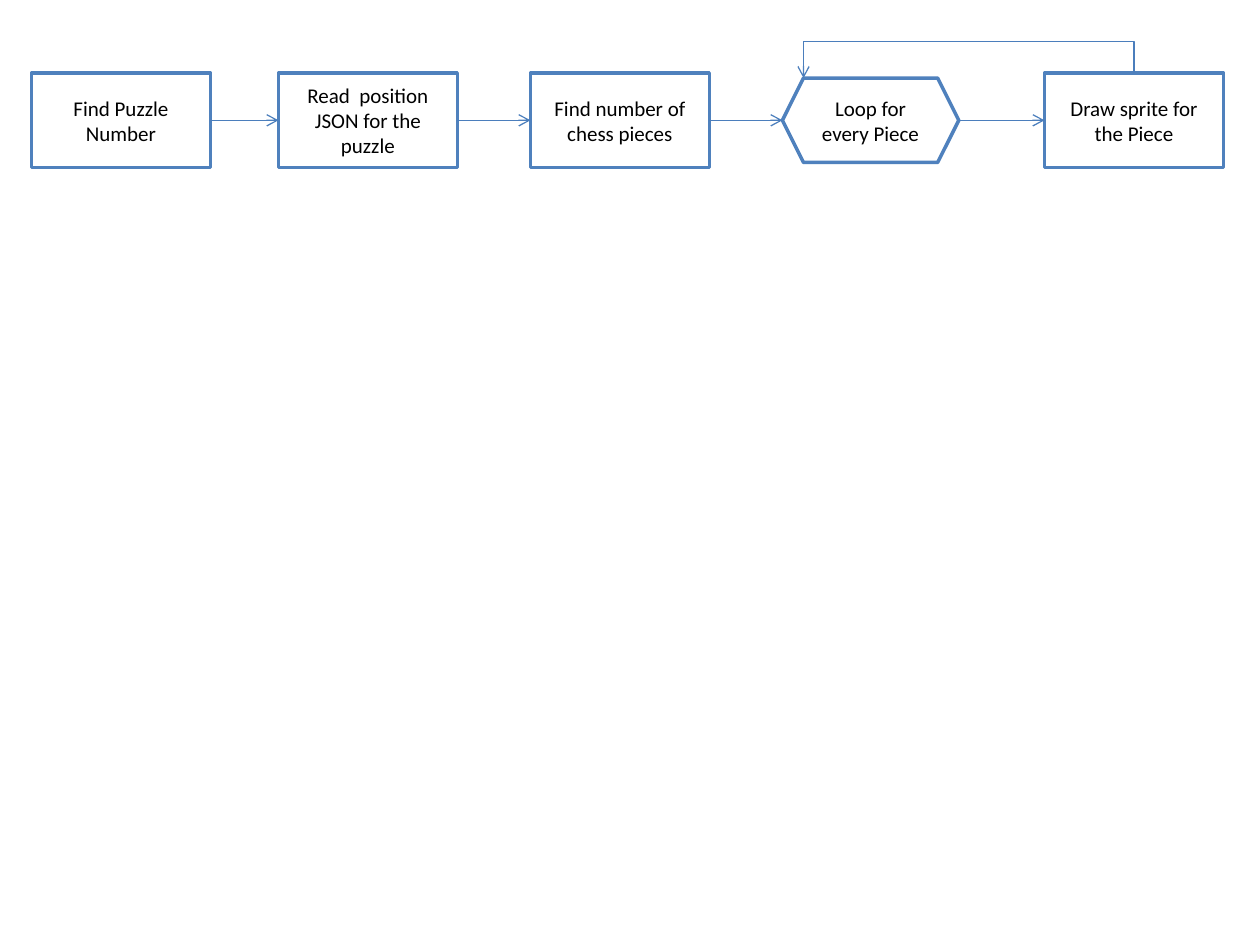
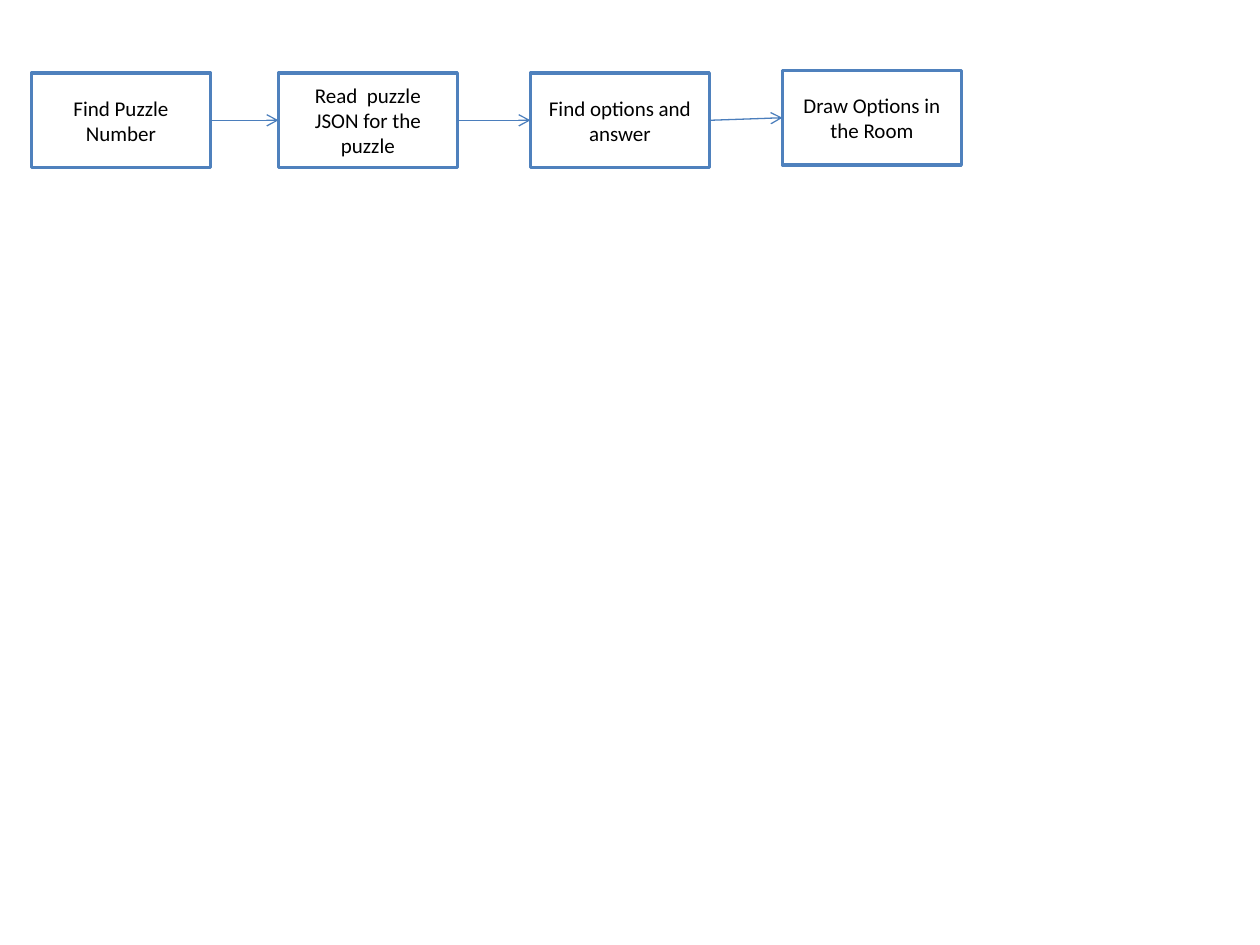
from pptx import Presentation
from pptx.dml.color import RGBColor
from pptx.enum.shapes import MSO_CONNECTOR, MSO_SHAPE
from pptx.enum.text import MSO_ANCHOR, PP_ALIGN
from pptx.oxml.ns import qn
from pptx.util import Inches, Pt
from lxml.etree import SubElement

FONT = "Calibri"
WHITE, BLACK = "FFFFFF", "000000"
BORDER, ARROW = "4F81BD", "4B7EBC"
BOX_W, BOX_H, ROW_TOP = 1.42, 0.75, 0.58
COLUMNS = [0.25, 2.21, 4.21, 6.21, 8.29]


def rgb(value):
    """Turn a hex string into a colour."""
    return RGBColor.from_string(value)


def add_step(s, text, left, top=ROW_TOP, width=BOX_W, height=BOX_H,
             kind=MSO_SHAPE.RECTANGLE):
    """Add one outlined flowchart step with centred text."""
    sp = s.shapes.add_shape(kind, Inches(left), Inches(top),
                            Inches(width), Inches(height))
    sp.shadow.inherit = False
    sp.fill.solid()
    sp.fill.fore_color.rgb = rgb(WHITE)
    sp.line.color.rgb = rgb(BORDER)
    sp.line.width = Pt(2)
    tf = sp.text_frame
    tf.word_wrap = True
    tf.vertical_anchor = MSO_ANCHOR.MIDDLE
    tf.text = text
    p = tf.paragraphs[0]
    p.alignment = PP_ALIGN.CENTER
    font = p.runs[0].font
    font.name, font.size = FONT, Pt(12)
    font.color.rgb = rgb(BLACK)
    return sp


def add_arrow(s, x1, y1, x2, y2, kind=MSO_CONNECTOR.STRAIGHT):
    """Add a thin connector with an open arrowhead at its end."""
    cxn = s.shapes.add_connector(kind, x1, y1, x2, y2)
    cxn.line.color.rgb = rgb(ARROW)
    cxn.line.width = Pt(0.75)
    SubElement(cxn.line._get_or_add_ln(), qn("a:tailEnd"), type="arrow")
    SubElement(cxn._element.spPr, qn("a:effectLst"))
    return cxn


def link_steps(s, steps):
    """Join each step to the next, from right edge to left edge."""
    for a, b in zip(steps, steps[1:]):
        add_arrow(s, a.left + a.width, a.top + a.height // 2,
                  b.left, b.top + b.height // 2)


def add_loop_back(s, start, end, rise=Inches(0.25)):
    """Lead from the top of start, over the row, to end's top left corner."""
    x1, y1 = start.left + start.width // 2, start.top
    x2, y2 = end.left + end.height // 4, end.top
    mid_x, mid_y = (x1 + x2) // 2, (y1 + y2) // 2
    half_w, half_h = (y2 - y1) // 2, (x1 - x2) // 2
    # The elbow is laid out upright, then turned a quarter to the left.
    cxn = add_arrow(s, mid_x + half_w, mid_y + half_h,
                    mid_x - half_w, mid_y - half_h, MSO_CONNECTOR.ELBOW)
    spPr = cxn._element.spPr
    spPr.find(qn("a:xfrm")).set("rot", str(270 * 60000))
    guides = spPr.find(qn("a:prstGeom")).get_or_add_avLst()
    bend = round(-rise / (y2 - y1) * 100000)
    SubElement(guides, qn("a:gd"), name="adj1", fmla=f"val {bend}")


def build_pieces_slide(prs):
    """Flow that draws the chess pieces, with a loop."""
    s = prs.slides.add_slide(prs.slide_layouts[6])
    texts = ["Find Puzzle Number", "Read  position JSON for the puzzle",
             "Find number of chess pieces"]
    steps = [add_step(s, text, x) for text, x in zip(texts, COLUMNS)]
    loop = add_step(s, "Loop for every Piece", COLUMNS[3], 0.62, 1.4, 0.67,
                    MSO_SHAPE.HEXAGON)
    draw = add_step(s, "Draw sprite for the Piece", COLUMNS[4])
    link_steps(s, steps + [loop, draw])
    add_loop_back(s, draw, loop)


def build_options_slide(prs):
    """Flow that draws the answer options."""
    s = prs.slides.add_slide(prs.slide_layouts[6])
    texts = ["Find Puzzle Number", "Read  puzzle JSON for the puzzle",
             "Find options and answer"]
    steps = [add_step(s, text, x) for text, x in zip(texts, COLUMNS)]
    steps.append(add_step(s, "Draw Options in the Room", COLUMNS[3], 0.56))
    link_steps(s, steps)


def main():
    """Build both slides and save them."""
    prs = Presentation()
    prs.slide_width, prs.slide_height = Inches(10), Inches(7.5)
    build_pieces_slide(prs)
    build_options_slide(prs)
    prs.save("out.pptx")


main()
